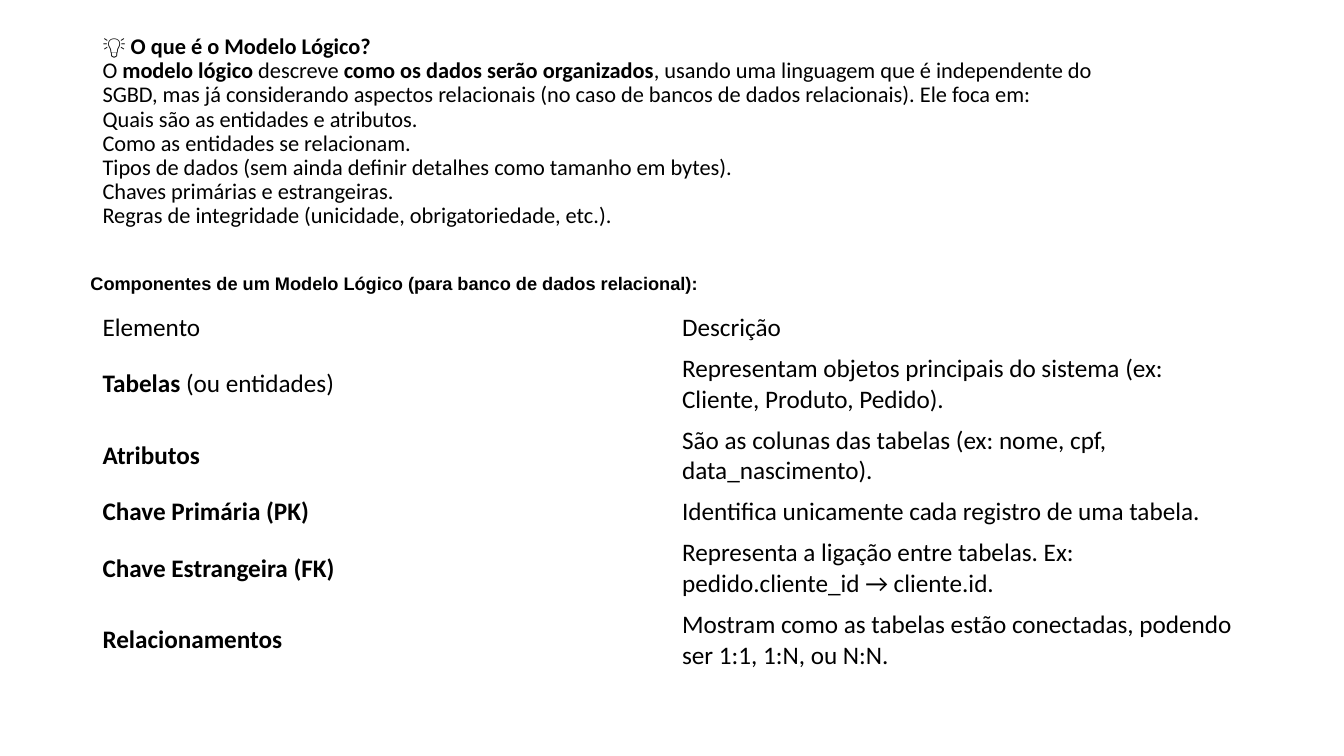
from pptx import Presentation
from pptx import util as u
from pptx.dml import color
from pptx.enum import text

BLACK = "000000"

DEFINITION = [
    [("💡 O que é o Modelo Lógico?", True)],
    [("O ", False), ("modelo lógico", True), (" descreve ", False),
     ("como os dados serão organizados", True),
     (", usando uma linguagem que é independente do SGBD, mas já considerando "
      "aspectos relacionais (no caso de bancos de dados relacionais). Ele foca em:", False)],
    [("Quais são as entidades e atributos.", False)],
    [("Como as entidades se relacionam.", False)],
    [("Tipos de dados (sem ainda definir detalhes como tamanho em bytes).", False)],
    [("Chaves primárias e estrangeiras.", False)],
    [("Regras de integridade (unicidade, obrigatoriedade, etc.).", False)],
]

HEADING = "Componentes de um Modelo Lógico (para banco de dados relacional):"

ONE_LINE, TWO_LINES = 1.03, 1.8
COMPONENTS = [
    (ONE_LINE, [("Elemento", False)], "Descrição"),
    (TWO_LINES, [("Tabelas", True), (" (ou entidades)", False)],
     "Representam objetos principais do sistema (ex: Cliente, Produto, Pedido)."),
    (TWO_LINES, [("Atributos", True)],
     "São as colunas das tabelas (ex: nome, cpf, data_nascimento)."),
    (ONE_LINE, [("Chave Primária (PK)", True)],
     "Identifica unicamente cada registro de uma tabela."),
    (TWO_LINES, [("Chave Estrangeira (FK)", True)],
     "Representa a ligação entre tabelas. Ex: pedido.cliente_id → cliente.id."),
    (TWO_LINES, [("Relacionamentos", True)],
     "Mostram como as tabelas estão conectadas, podendo ser 1:1, 1:N, ou N:N."),
]


def rgb(hex_colour):
    """Turn a hex string into a colour."""
    return color.RGBColor.from_string(hex_colour)


def add_runs(paragraph, pieces, size, font="Calibri"):
    """Add (words, bold) pieces to a paragraph as runs."""
    for words, bold in pieces:
        run = paragraph.add_run()
        run.text = words
        run.font.name = font
        run.font.size = u.Pt(size)
        run.font.bold = bold
        run.font.color.rgb = rgb(BLACK)


def place_definition(slide, left, top, width, height):
    """Fill the title placeholder with the definition of the logical model."""
    definition = slide.shapes.title
    definition.left, definition.top = u.Cm(left), u.Cm(top)
    definition.width, definition.height = u.Cm(width), u.Cm(height)
    frame = definition.text_frame
    frame.word_wrap = True
    frame.auto_size = text.MSO_AUTO_SIZE.NONE
    frame.vertical_anchor = text.MSO_ANCHOR.TOP
    paragraph = frame.paragraphs[0]
    paragraph.alignment = text.PP_ALIGN.LEFT
    paragraph.line_spacing = 0.9
    paragraph.space_before = u.Pt(0)
    for index, line in enumerate(DEFINITION):
        if index:
            paragraph.add_line_break()
        add_runs(paragraph, line, 16)


def place_heading(slide, left, top, width, height):
    """Write the heading above the table."""
    heading = slide.shapes.add_textbox(u.Cm(left), u.Cm(top), u.Cm(width), u.Cm(height))
    frame = heading.text_frame
    frame.word_wrap = False
    frame.vertical_anchor = text.MSO_ANCHOR.TOP
    add_runs(frame.paragraphs[0], [(HEADING, True)], 13, "Arial")


def place_components(slide, left, top, width):
    """Build the plain two-column table of components."""
    height = sum(component[0] for component in COMPONENTS)
    components = slide.shapes.add_table(
        len(COMPONENTS), 2, u.Cm(left), u.Cm(top), u.Cm(width), u.Cm(height)).table
    components.first_row = components.horz_banding = False
    for row, (row_height, element, description) in enumerate(COMPONENTS):
        components.rows[row].height = u.Cm(row_height)
        for column, pieces in enumerate((element, [(description, False)])):
            cell = components.cell(row, column)
            cell.fill.background()
            cell.vertical_anchor = text.MSO_ANCHOR.MIDDLE
            add_runs(cell.text_frame.paragraphs[0], pieces, 18)


def main():
    """Build and save the slide."""
    deck = Presentation()
    deck.slide_width, deck.slide_height = u.Cm(33.87), u.Cm(19.05)
    slide = deck.slides.add_slide(deck.slide_layouts[5])
    place_components(slide, 2.33, 7.75, 29.21)
    place_definition(slide, 2.33, 0.76, 25.93, 5.79)
    place_heading(slide, 2.03, 6.73, 16.36, 1.57)
    deck.save("out.pptx")


if __name__ == "__main__":
    main()
